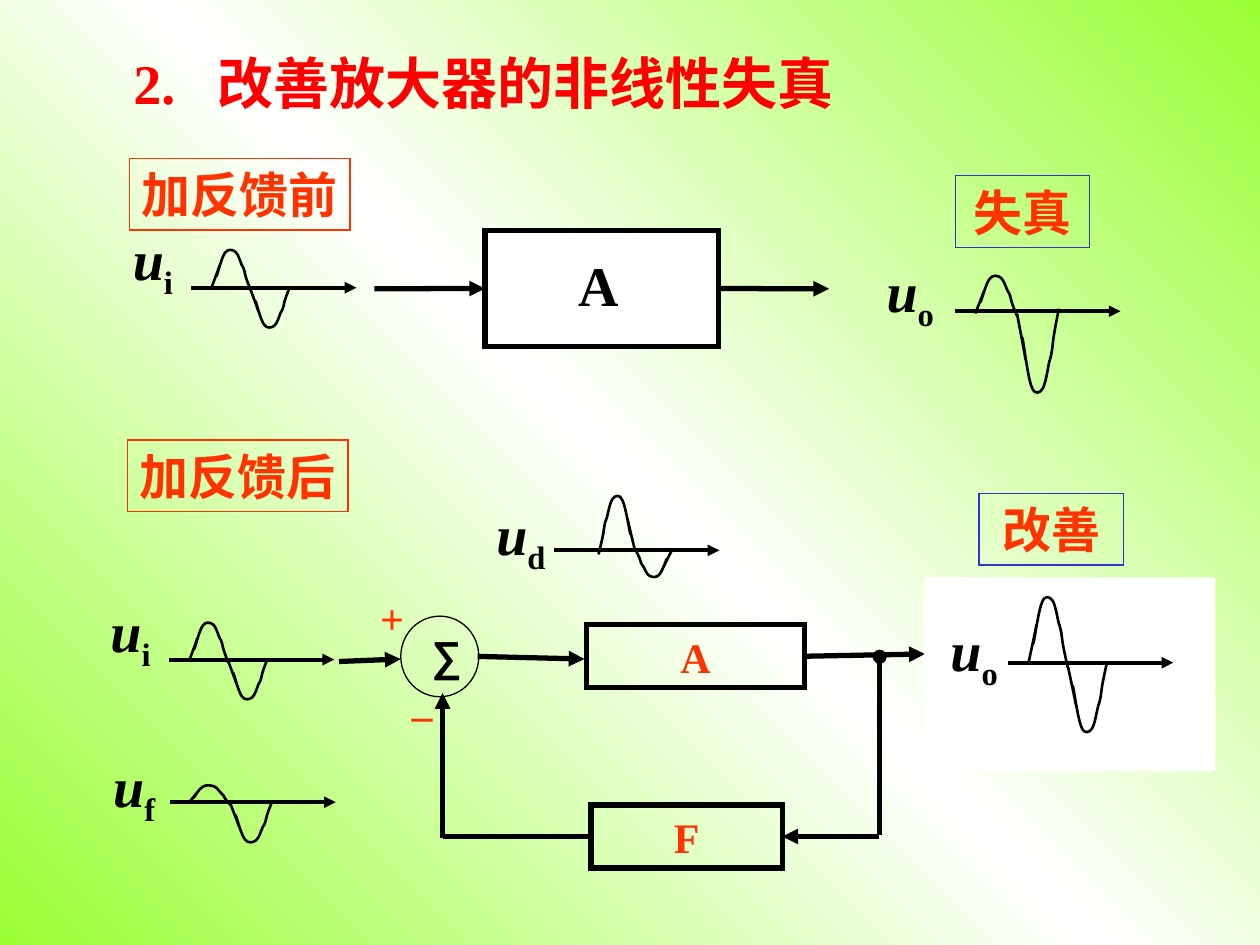
from copy import deepcopy

from lxml.etree import SubElement
from pptx import Presentation
from pptx.dml.color import RGBColor
from pptx.enum.shapes import MSO_CONNECTOR as CONN, MSO_SHAPE as SHAPE
from pptx.enum.text import MSO_ANCHOR as ANCHOR, PP_ALIGN as ALIGN
from pptx.oxml.ns import qn
from pptx.util import Pt

BLACK = RGBColor(0x00, 0x00, 0x00)
WHITE = RGBColor(0xFF, 0xFF, 0xFF)
RED = RGBColor(0xFF, 0x00, 0x00)
ORANGE = RGBColor(0xFF, 0x33, 0x00)
BLUE = RGBColor(0x33, 0x33, 0xCC)
GREEN = RGBColor(0x99, 0xFF, 0x33)
SERIF = "Times New Roman"
TOP, LEFT, BOTTOM, RIGHT = range(4)

AXIS_LENGTH = 94.5
# Cubic Bezier nodes of a positive half wave in a unit box, y downwards.
HALF_WAVE = [
    (0, 0.94), (0.03, 0.86), (0.19, 0.47), (0.2, 0.42),
    (0.23, 0.36), (0.1, 0.71), (0.13, 0.66),
    (0.16, 0.6), (0.26, 0.2), (0.35, 0.1),
    (0.42, 0), (0.55, 0.03), (0.61, 0.08),
    (0.68, 0.13), (0.73, 0.3), (0.77, 0.39),
    (0.84, 0.49), (0.84, 0.55), (0.87, 0.66),
    (0.9, 0.76), (0.97, 0.93), (1, 1),
]


def set_gradient(s):
    fill = s.background.fill
    fill.gradient()
    fill.gradient_angle = 225
    stops = s._element.find(".//" + qn("a:gsLst"))
    stops.append(deepcopy(stops[0]))
    for stop, position, color in zip(fill.gradient_stops, (0, 0.5, 1), (GREEN, WHITE, GREEN)):
        stop.position = position
        stop.color.rgb = color


def style_paragraph(p, size, color, name=SERIF):
    p.font.size = Pt(size)
    p.font.bold = True
    p.font.name = name
    p.font.color.rgb = color


def add_text(s, box, text, size, color, name=SERIF, wrap=True, tab=None):
    tf = s.shapes.add_textbox(*map(Pt, box)).text_frame
    tf.word_wrap = wrap
    p = tf.paragraphs[0]
    p.text = text
    if tab:
        tabs = SubElement(p._p.get_or_add_pPr(), qn("a:tabLst"))
        SubElement(tabs, qn("a:tab"), pos=str(Pt(tab)), algn="l")
    style_paragraph(p, size, color, name)


def add_block(s, box, fill=None, line=BLACK, width=3, kind=SHAPE.RECTANGLE):
    sp = s.shapes.add_shape(kind, *map(Pt, box))
    sp.shadow.inherit = False
    if fill is None:
        sp.fill.background()
    else:
        sp.fill.solid()
        sp.fill.fore_color.rgb = fill
    if line is None:
        sp.line.fill.background()
    else:
        sp.line.color.rgb = line
        sp.line.width = Pt(width)
        SubElement(sp.line._get_or_add_ln(), qn("a:miter"), lim="800000")
    return sp


def add_label_block(s, box, text, size, color, anchor=ANCHOR.MIDDLE,
                    align=ALIGN.CENTER, wrap=True, **look):
    sp = add_block(s, box, **look)
    tf = sp.text_frame
    tf.word_wrap = wrap
    tf.vertical_anchor = anchor
    p = tf.paragraphs[0]
    p.text = text
    p.alignment = align
    style_paragraph(p, size, color)
    return sp


def add_wire(s, start, end, width=3, arrow=True):
    """Each end is either a point (x, y) or a joint (shape, side)."""
    joined = [not isinstance(e[0], (int, float)) for e in (start, end)]
    x1, y1 = (0, 0) if joined[0] else start
    x2, y2 = (0, 0) if joined[1] else end
    c = s.shapes.add_connector(CONN.STRAIGHT, Pt(x1), Pt(y1), Pt(x2), Pt(y2))
    if joined[0]:
        c.begin_connect(*start)
    if joined[1]:
        c.end_connect(*end)
    c.line.color.rgb = BLACK
    c.line.width = Pt(width)
    if arrow:
        SubElement(c.line._get_or_add_ln(), qn("a:tailEnd"), type="triangle")
    SubElement(c._element.spPr, qn("a:effectLst"))


def curve_segments(sp):
    """Turn each three line segments of a freeform into one cubic Bezier."""
    outline = sp._element.find(".//" + qn("a:path"))
    lines = outline.findall(qn("a:lnTo"))
    for i in range(0, len(lines), 3):
        curve = SubElement(outline, qn("a:cubicBezTo"))
        for line in lines[i:i + 3]:
            curve.append(line[0])
            outline.remove(line)


def add_half_wave(s, x, y, w, h, negative, mirrored):
    points = [(Pt(x + w * (1 - u if mirrored else u)), Pt(y + h * (1 - v if negative else v)))
              for u, v in HALF_WAVE]
    builder = s.shapes.build_freeform(*points[0])
    builder.add_line_segments(points[1:], close=False)
    sp = builder.convert_to_shape()
    curve_segments(sp)
    sp.shadow.inherit = False
    sp.fill.background()
    sp.line.color.rgb = BLACK
    sp.line.width = Pt(1.5)


def add_signal(s, sub, label, axis, offset, half_width, upper, lower, mirrored=False):
    """Label is (left, top, width); upper and lower are (top, height) of the half waves."""
    x, y = axis
    add_wire(s, axis, (x + AXIS_LENGTH, y), width=2.25)
    for i, (top, height) in enumerate((upper, lower)):
        add_half_wave(s, x + offset + i * half_width, top, half_width, height, i == 1, mirrored)
    tf = s.shapes.add_textbox(*map(Pt, (*label, 51))).text_frame
    tf.word_wrap = False
    p = tf.paragraphs[0]
    for text in ("u", sub):
        r = p.add_run()
        r.text = text
        r.font.italic = text == "u"
    r._r.get_or_add_rPr().set("baseline", "-25000")
    style_paragraph(p, 32, BLACK)


def add_open_amplifier(s):
    amp = add_block(s, (277.2, 131.8, 133.2, 66.2), fill=WHITE)
    add_text(s, (323.3, 139.7, 37.6, 46), "A", 32, BLACK, wrap=False)
    add_wire(s, (214, 165), (amp, LEFT))
    add_wire(s, (amp, RIGHT), (473.8, 165))


def add_feedback_loop(s):
    amp = add_label_block(s, (335.2, 357, 124.6, 36), "A", 24, ORANGE)
    feedback = add_label_block(s, (337.7, 460, 109.4, 36), "F", 24, ORANGE)
    add_block(s, (229, 352.1, 44.6, 46.1), width=0.75, kind=SHAPE.OVAL)
    add_block(s, (500.2, 372.8, 5, 5), fill=BLACK, kind=SHAPE.OVAL)
    add_wire(s, (193.7, 378), (229, 376.6))
    add_wire(s, (272.9, 375.1), (334, 376.6))
    add_wire(s, (amp, RIGHT), (528.5, 373.7))
    add_wire(s, (502.4, 373.7), (502.4, 477.4), arrow=False)
    add_wire(s, (502.4, 478), (feedback, RIGHT))
    add_wire(s, (feedback, LEFT), (253.4, 478), arrow=False)
    add_wire(s, (252.9, 478.8), (252.9, 396))
    add_text(s, (210.2, 334.8, 62.6, 36), "+", 24, ORANGE)
    add_text(s, (228.2, 389.8, 43.2, 36), "–", 24, ORANGE)
    add_text(s, (239.6, 356, 32.4, 36), "∑", 24, BLACK, name="Arial")


def main():
    prs = Presentation()
    prs.slide_width, prs.slide_height = Pt(720), Pt(540)
    s = prs.slides.add_slide(prs.slide_layouts[6])
    set_gradient(s)

    add_text(s, (69.1, 24.2, 414.7, 46), "2.\t改善放大器的非线性失真", 32, RED, wrap=False, tab=48)
    for box, text, align, line in (
        ((74, 90.5, 126, 41), "加反馈前", ALIGN.RIGHT, ORANGE),
        ((72.9, 251.5, 126, 41), "加反馈后", ALIGN.RIGHT, ORANGE),
        ((546, 100.5, 76.5, 41), "失真", ALIGN.CENTER, BLUE),
        ((559.4, 282, 82.8, 41), "改善", ALIGN.CENTER, BLUE),
    ):
        add_label_block(s, box, text, 28, ORANGE, anchor=ANCHOR.TOP, align=align,
                        wrap=align == ALIGN.CENTER, line=line, width=0.75)

    add_open_amplifier(s)
    add_feedback_loop(s)
    add_block(s, (528, 330, 166.5, 110.9), fill=WHITE, line=None)

    for signal in (
        ("i", (68.8, 124.6, 37.8), (109.2, 164.4), 11.7, 22.3, (142, 23.8), (164.2, 23.8)),
        ("o", (499.5, 142.8, 43), (545.8, 177.8), 11.5, 23.9, (156.8, 23.8), (176.4, 49.7)),
        ("i", (56, 337.2, 37.8), (96.5, 376.9), 11.7, 22.3, (355, 23.8), (376.6, 23.8)),
        ("f", (57.6, 425.8, 39), (97.4, 458.4), 10.1, 24.1, (448.4, 11.5), (457.7, 24.5)),
        ("o", (536, 348, 43), (576, 378.7), 11.7, 22.5, (339.8, 41.8), (378, 41.8)),
        ("d", (276.5, 282, 43), (316.6, 314.5), 25.4, 20.9, (282.2, 34.6), (313.7, 16.6), True),
    ):
        add_signal(s, *signal)

    prs.save("out.pptx")


if __name__ == "__main__":
    main()
